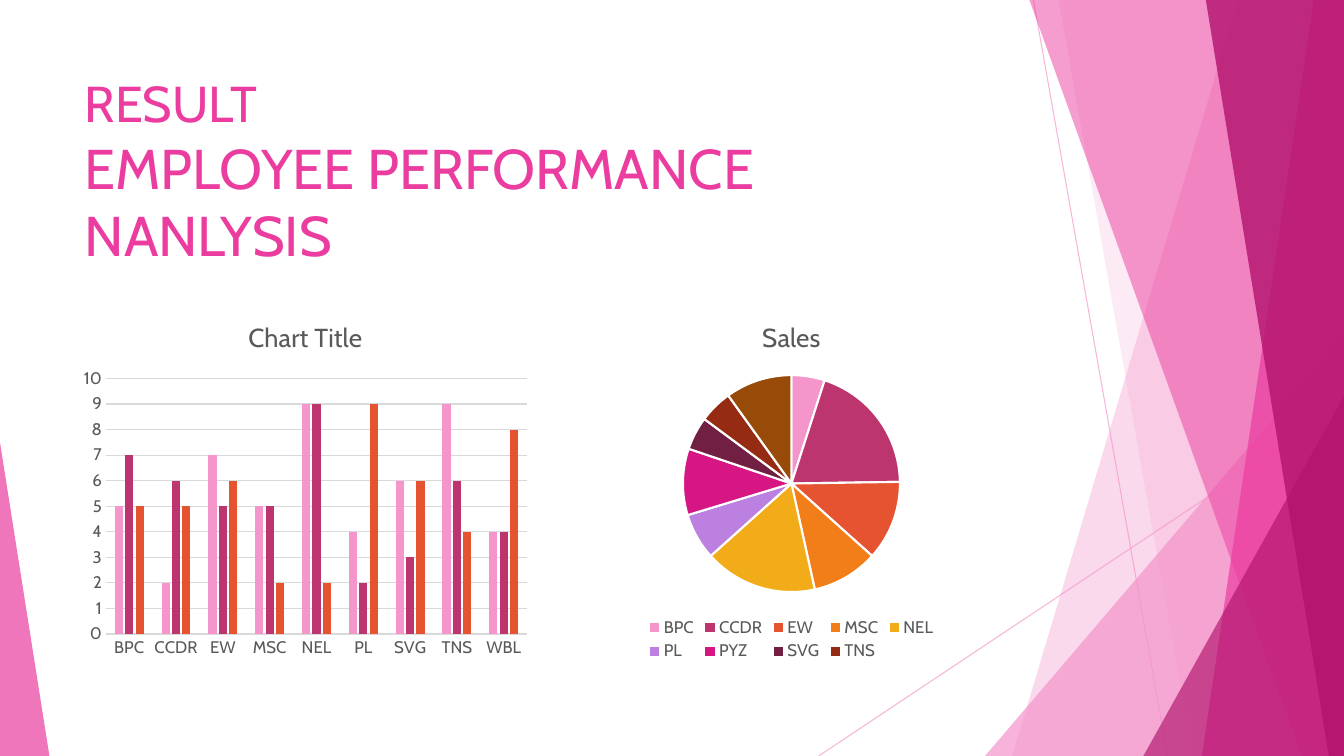
from lxml.etree import SubElement
from pptx import Presentation
from pptx.chart.data import CategoryChartData
from pptx.dml.color import RGBColor
from pptx.enum.chart import XL_CHART_TYPE as ChartType, XL_LEGEND_POSITION as LegendPos
from pptx.enum.chart import XL_TICK_MARK as TickMark
from pptx.enum.shapes import MSO_CONNECTOR as Connector, MSO_SHAPE as Shape
from pptx.enum.text import MSO_ANCHOR as Anchor, MSO_AUTO_SIZE as AutoSize, PP_ALIGN as Align
from pptx.oxml.ns import qn
from pptx.util import Inches, Pt

FONT = "Cabin"
COLORS = {
    "light": "F496CB", "pink": "EB3D9F", "deep": "B2136D",
    "text": "595959", "grid": "D9D9D9", "white": "FFFFFF",
}
BAR_COLORS = ["F496CB", "BC356F", "E65331"]
SLICE_COLORS = BAR_COLORS + ["F27E19", "F2AC19", "BC80E0", "D61682", "712043", "952B12", "984B09"]

WIDTH, HEIGHT = 13.33, 7.5
MARGIN, CONTENT_W, GUTTER = 0.74, 9.4, 0.24
CHART_W, CHART_TOP, CHART_H = (CONTENT_W - GUTTER) / 2, 2.99, 3.61


def rgb(name):
    return RGBColor.from_string(COLORS.get(name, name))


def inches(*lengths):
    return [Inches(length) for length in lengths]


def set_opacity(fill_format, percent):
    color = fill_format._xPr.find(".//" + qn("a:srgbClr"))
    SubElement(color, qn("a:alpha"), val=str(percent * 1000))


def paint(shape, color, opacity):
    shape.shadow.inherit = False
    shape.line.fill.background()
    shape.fill.solid()
    shape.fill.fore_color.rgb = rgb(color)
    set_opacity(shape.fill, opacity)


def style_font(font, size, color="text"):
    font.name, font.size, font.bold = FONT, Pt(size), False
    font.color.rgb = rgb(color)


def add_ray(slide, start, end):
    ray = slide.shapes.add_connector(Connector.STRAIGHT, *inches(*start, *end))
    ray.line.width = Pt(0.75)
    ray.line.color.rgb = rgb("light")
    set_opacity(ray.line.fill, 70)
    SubElement(ray._element.spPr, qn("a:effectLst"))


def add_band(slide, top_x, bottom_x, color, opacity):
    """Full-height band from a slanted left edge to the slide's right edge."""
    builder = slide.shapes.build_freeform(*inches(top_x, 0))
    builder.add_line_segments(
        [inches(WIDTH, 0), inches(WIDTH, HEIGHT), inches(bottom_x, HEIGHT)])
    paint(builder.convert_to_shape(), color, opacity)


def add_wedge(slide, left, width, height, apex, color, opacity):
    """Triangle that stands on the slide's bottom edge."""
    wedge = slide.shapes.add_shape(
        Shape.ISOSCELES_TRIANGLE, *inches(left, HEIGHT - height, width, height))
    wedge.adjustments[0] = apex
    paint(wedge, color, opacity)


def add_facets(slide):
    add_ray(slide, (10.25, 0), (11.58, HEIGHT))
    add_ray(slide, (WIDTH, 4.03), (8.12, HEIGHT))
    add_band(slide, 12.28, 10.04, "light", 36)
    add_band(slide, 10.5, 11.83, "light", 20)
    add_wedge(slide, 9.77, WIDTH - 9.77, 4.17, 1, "light", 72)
    add_band(slide, 10.21, 12.91, "pink", 50)
    add_band(slide, 13.03, 11.92, "pink", 70)
    add_band(slide, 11.96, 13.18, "deep", 80)
    add_wedge(slide, 11.34, WIDTH - 11.34, 3.57, 1, "deep", 66)
    add_wedge(slide, 0, 0.49, 3.11, 0, "pink", 70)


def add_heading(slide, left, top, width, height):
    heading = slide.shapes.title
    heading.left, heading.top, heading.width, heading.height = inches(left, top, width, height)
    frame = heading.text_frame
    frame.word_wrap, frame.auto_size = True, AutoSize.NONE
    frame.vertical_anchor = Anchor.TOP
    line = frame.paragraphs[0]
    line.alignment = Align.LEFT
    for index, (words, size) in enumerate(
            [("RESULT", 36), ("EMPLOYEE PERFORMANCE NANLYSIS", 40)]):
        if index:
            line.add_line_break()
        run = line.add_run()
        run.text = words
        style_font(run.font, size, "pink")


def add_titled_chart(slide, kind, box, title, categories, series):
    data = CategoryChartData()
    data.categories = categories
    for name, values in series.items():
        data.add_series(name, values)
    chart = slide.shapes.add_chart(kind, *inches(*box), data).chart
    style_font(chart.font, 12)
    chart.has_title = True
    run = chart.chart_title.text_frame.paragraphs[0].add_run()
    run.text = title
    style_font(run.font, 18.6)
    chart.chart_title.include_in_layout = False
    return chart


def add_score_columns(slide, box):
    chart = add_titled_chart(
        slide, ChartType.COLUMN_CLUSTERED, box, "Chart Title",
        ["BPC", "CCDR", "EW", "MSC", "NEL", "PL", "SVG", "TNS", "WBL"],
        {"Series 1": [5, 2, 7, 5, 9, 4, 6, 9, 4],
         "Series 2": [7, 6, 5, 5, 9, 2, 3, 6, 4],
         "Series 3": [5, 5, 6, 2, 2, 9, 6, 4, 8]})
    chart.has_legend = False
    columns = chart.plots[0]
    columns.gap_width, columns.overlap, columns.vary_by_categories = 219, -27, False
    for series, color in zip(columns.series, BAR_COLORS):
        series.format.fill.solid()
        series.format.fill.fore_color.rgb = rgb(color)

    # Axes
    units, scores = chart.category_axis, chart.value_axis
    for axis in (units, scores):
        axis.major_tick_mark = axis.minor_tick_mark = TickMark.NONE
        style_font(axis.tick_labels.font, 12)
    scores.minimum_scale, scores.maximum_scale, scores.major_unit = 0, 10, 1
    scores.format.line.fill.background()
    for rule in (units.format.line, scores.major_gridlines.format.line):
        rule.color.rgb = rgb("grid")
        rule.width = Pt(0.75)


def add_sales_pie(slide, box):
    labels = ["BPC", "CCDR", "EW", "MSC", "NEL", "PL", "PYZ", "SVG", "TNS", ""]
    chart = add_titled_chart(
        slide, ChartType.PIE, box, "Sales", labels,
        {"Sales": [5, 20, 12, 10, 17, 7, 10, 5, 5, 10]})
    pie = chart.plots[0]
    pie.vary_by_categories = True
    for index, color in enumerate(SLICE_COLORS):
        part = pie.series[0].points[index].format
        part.fill.solid()
        part.fill.fore_color.rgb = rgb(color)
        part.line.color.rgb = rgb("white")
        part.line.width = Pt(1.5)

    # Legend, without the unnamed last slice
    chart.has_legend = True
    legend = chart.legend
    legend.position, legend.include_in_layout = LegendPos.BOTTOM, False
    style_font(legend.font, 12)
    entry = SubElement(legend._element, qn("c:legendEntry"))
    SubElement(entry, qn("c:idx"), val=str(len(labels) - 1))
    SubElement(entry, qn("c:delete"), val="1")
    legend._element.find(qn("c:legendPos")).addnext(entry)


def main():
    deck = Presentation()
    deck.slide_width, deck.slide_height = inches(WIDTH, HEIGHT)
    slide = deck.slides.add_slide(deck.slide_layouts[5])
    add_facets(slide)
    add_heading(slide, MARGIN, 0.67, CONTENT_W, 1.44)
    add_score_columns(slide, (MARGIN, CHART_TOP, CHART_W, CHART_H))
    add_sales_pie(slide, (MARGIN + CHART_W + GUTTER, CHART_TOP, CHART_W, CHART_H))
    deck.save("out.pptx")


if __name__ == "__main__":
    main()
